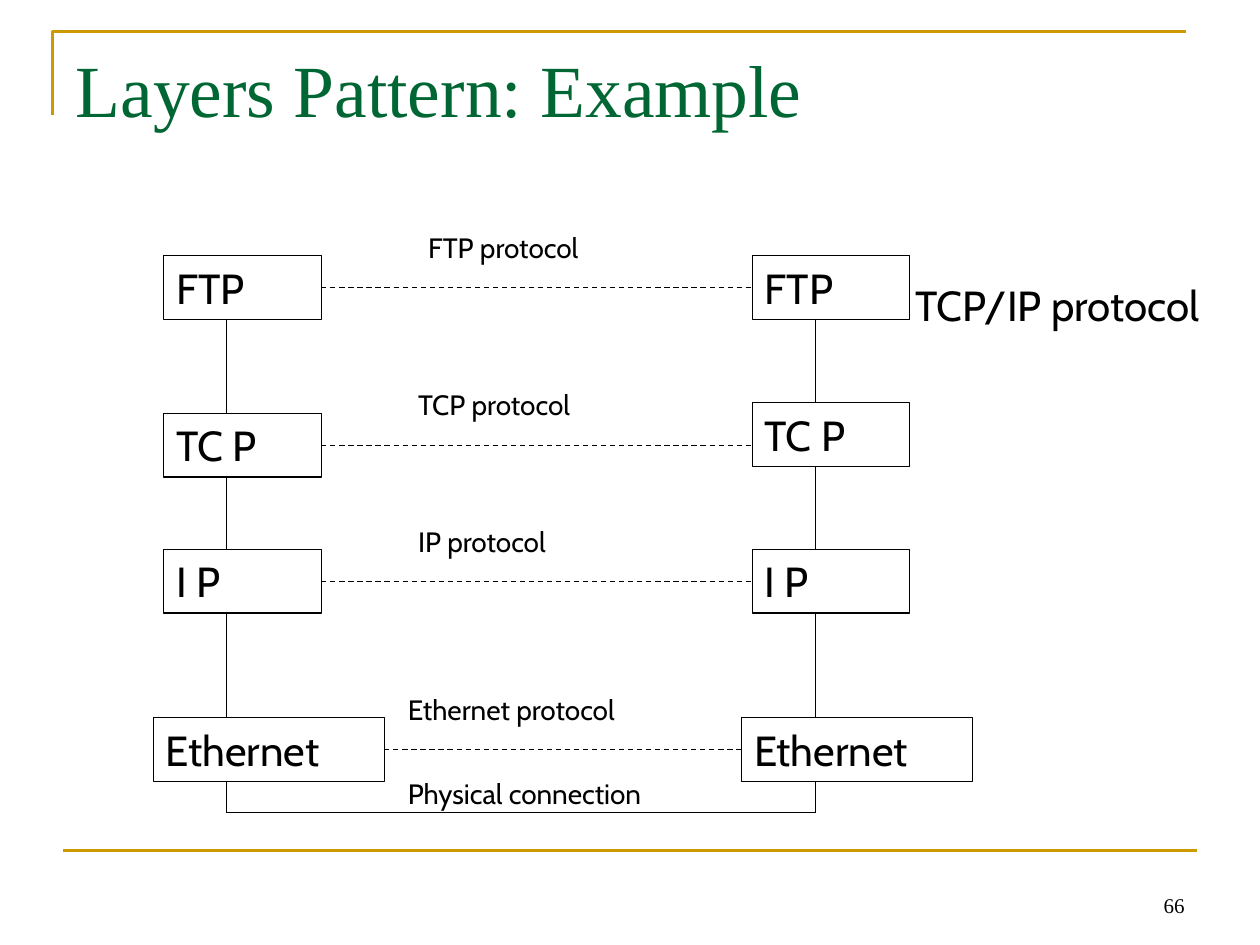
from dataclasses import dataclass
from typing import Optional

from lxml import etree
from pptx import Presentation
from pptx import util as u
from pptx.dml.color import RGBColor
from pptx.enum import dml, shapes, text
from pptx.oxml.ns import qn


@dataclass(frozen=True)
class Theme:
    title: RGBColor = RGBColor(0x00, 0x66, 0x33)
    rule: RGBColor = RGBColor(0xCC, 0x99, 0x00)
    ink: RGBColor = RGBColor(0x00, 0x00, 0x00)
    title_font: str = "Times New Roman"
    body_font: str = "Cabin"
    title_size: float = 42
    box_size: float = 24
    label_size: float = 16
    number_size: float = 12
    rule_width: float = 1.5
    line_width: float = 0.75


@dataclass(frozen=True)
class Layer:
    name: str
    protocol: str
    tops: tuple[float, float]  # left and right host
    label_left: float
    inset: float = 0  # shift of the box from the host's left edge
    width: float = 90


THEME = Theme()
HOSTS = (93.6, 429.84)
BOX_HEIGHT = 36.4
STEM = 36  # distance from a host's left edge to its vertical line
LABEL_RISE = 18
CABLE_Y = 464.4
LAYERS = (
    Layer("FTP", "FTP protocol", (146.2, 146.2), 237.6),
    Layer("TC P", "TCP protocol", (236.2, 230.2), 231.8),
    Layer("I P", "IP protocol", (314, 314), 231.8),
    Layer("Ethernet", "Ethernet protocol", (410.2, 410.2), 226, -6, 132),
)


def write(shape, words: str, size: float, name: str = THEME.body_font,
          color: RGBColor = THEME.ink, align=text.PP_ALIGN.LEFT,
          anchor=text.MSO_ANCHOR.TOP, grow: bool = True) -> None:
    frame = shape.text_frame
    frame_format = {
        "word_wrap": True,
        "vertical_anchor": anchor,
        "auto_size": text.MSO_AUTO_SIZE.SHAPE_TO_FIT_TEXT if grow else text.MSO_AUTO_SIZE.NONE,
        "margin_left": u.Pt(7.2), "margin_right": u.Pt(7.2),
        "margin_top": u.Pt(3.6), "margin_bottom": u.Pt(3.6),
    }
    for key, value in frame_format.items():
        setattr(frame, key, value)
    paragraph = frame.paragraphs[0]
    paragraph.alignment = align
    run = paragraph.add_run()
    run.text = words
    for key, value in {"name": name, "size": u.Pt(size), "bold": False}.items():
        setattr(run.font, key, value)
    run.font.color.rgb = color


def add_text(slide, left: float, top: float, width: float, height: float,
             words: str, size: float, **options) -> None:
    box = slide.shapes.add_textbox(u.Pt(left), u.Pt(top), u.Pt(width), u.Pt(height))
    write(box, words, size, **options)


def add_box(slide, left: float, top: float, width: float, words: str):
    box = slide.shapes.add_shape(shapes.MSO_SHAPE.RECTANGLE, u.Pt(left), u.Pt(top),
                                 u.Pt(width), u.Pt(BOX_HEIGHT))
    box.shadow.inherit = False
    box.fill.background()
    box.line.color.rgb = THEME.ink
    box.line.width = u.Pt(THEME.line_width)
    write(box, words, THEME.box_size)
    return box


def add_line(slide, start: tuple[float, float], end: tuple[float, float],
             color: RGBColor = THEME.ink, width: float = THEME.line_width,
             dash: Optional[dml.MSO_LINE] = None):
    line = slide.shapes.add_connector(shapes.MSO_CONNECTOR.STRAIGHT,
                                      *(u.Pt(value) for value in start + end))
    line.line.color.rgb = color
    line.line.width = u.Pt(width)
    if dash is not None:
        line.line.dash_style = dash
    etree.SubElement(line._element.spPr, qn("a:effectLst"))
    return line


def add_frame(slide) -> None:
    # Corner rule above the title and the rule at the foot
    builder = slide.shapes.build_freeform(u.Pt(30), u.Pt(66), scale=1.0)
    builder.add_line_segments([(u.Pt(30), u.Pt(18)), (u.Pt(678), u.Pt(18))], close=False)
    corner = builder.convert_to_shape()
    corner.shadow.inherit = False
    corner.fill.background()
    corner.line.color.rgb = THEME.rule
    corner.line.width = u.Pt(THEME.rule_width)
    add_line(slide, (36, 486), (684, 486), THEME.rule, THEME.rule_width)


def add_title(slide, words: str) -> None:
    title = slide.shapes.title
    for key, value in {"left": 36, "top": 21.6, "width": 648, "height": 90}.items():
        setattr(title, key, u.Pt(value))
    write(title, words, THEME.title_size, THEME.title_font, THEME.title, grow=False)


def add_stack(slide, host: int) -> list:
    left = HOSTS[host]
    boxes = [add_box(slide, left + layer.inset, layer.tops[host], layer.width, layer.name)
             for layer in LAYERS]
    # Each box runs down to the next one, the last down to the cable
    ends = [layer.tops[host] for layer in LAYERS[1:]] + [CABLE_Y]
    for layer, end in zip(LAYERS, ends):
        add_line(slide, (left + STEM, layer.tops[host] + BOX_HEIGHT), (left + STEM, end))
    return boxes


def add_protocol(slide, layer: Layer, left_box, right_box) -> None:
    y = layer.tops[0] + BOX_HEIGHT / 2
    start = (HOSTS[0] + layer.inset + layer.width, y)
    line = add_line(slide, start, (HOSTS[1] + layer.inset, y), dash=dml.MSO_LINE.DASH)
    line.begin_connect(left_box, 3)
    if layer.tops[0] == layer.tops[1]:
        line.end_connect(right_box, 1)
    add_text(slide, layer.label_left, layer.tops[0] - LABEL_RISE, 198, 26.6,
             layer.protocol, THEME.label_size)


def main() -> None:
    presentation = Presentation()
    presentation.slide_width, presentation.slide_height = u.Pt(720), u.Pt(540)
    slide = presentation.slides.add_slide(presentation.slide_layouts[5])

    add_frame(slide)
    add_title(slide, "Layers Pattern: Example")
    add_text(slide, 516, 492, 168, 36, "66", THEME.number_size, name=THEME.title_font,
             align=text.PP_ALIGN.RIGHT, anchor=text.MSO_ANCHOR.BOTTOM, grow=False)

    # Two protocol stacks and the links between their layers
    stacks = [add_stack(slide, host) for host in range(len(HOSTS))]
    for layer, left_box, right_box in zip(LAYERS, *stacks):
        add_protocol(slide, layer, left_box, right_box)

    # Cable joining the hosts
    add_line(slide, (HOSTS[0] + STEM, CABLE_Y), (HOSTS[1] + STEM, CABLE_Y))
    add_text(slide, 226, 440, 198, 26.6, "Physical connection", THEME.label_size)
    add_text(slide, 516, 156, 204, 36.4, "TCP/IP protocol", THEME.box_size)

    presentation.save("out.pptx")


if __name__ == "__main__":
    main()
